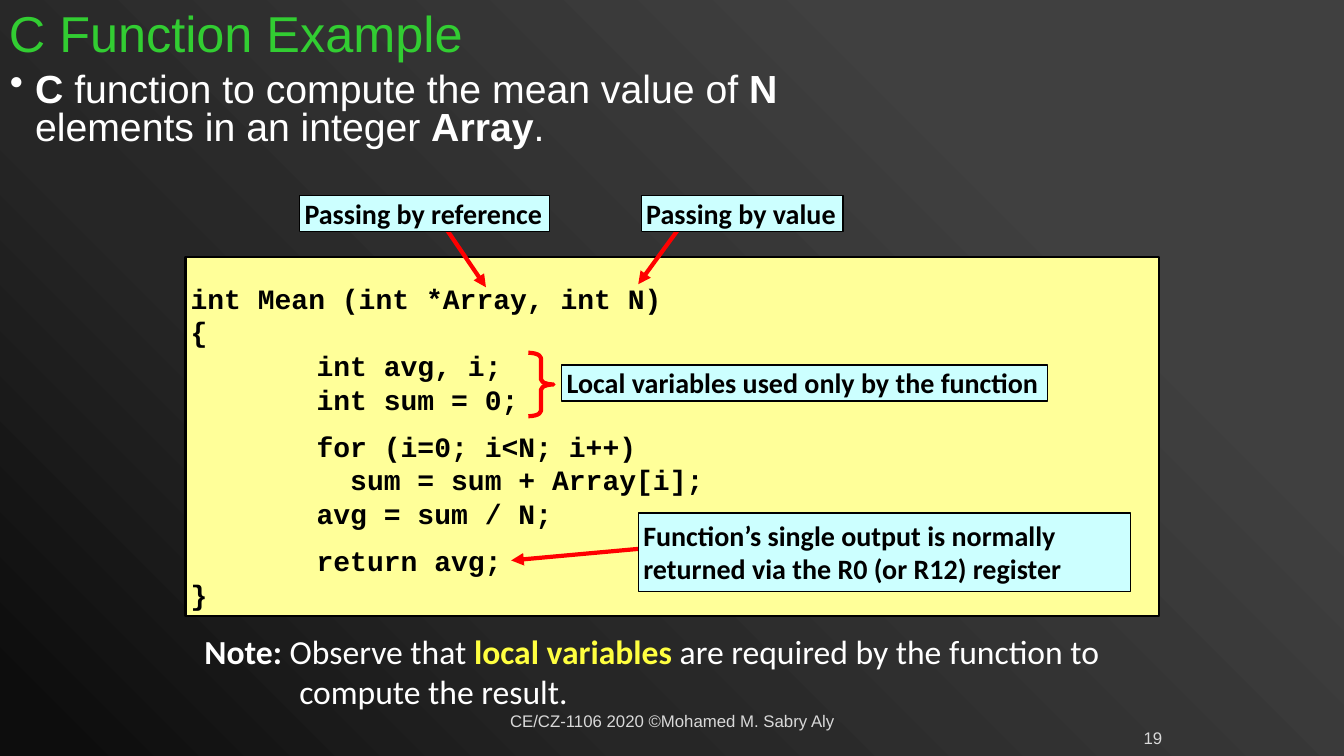
from dataclasses import dataclass

from lxml.etree import SubElement
from pptx import Presentation
from pptx.dml.color import RGBColor
from pptx.enum.shapes import MSO_CONNECTOR, MSO_SHAPE
from pptx.enum.text import MSO_ANCHOR, PP_ALIGN
from pptx.oxml import parse_xml
from pptx.oxml.ns import nsdecls, qn
from pptx.util import Inches, Pt

WHITE = RGBColor(0xFF, 0xFF, 0xFF)
BLACK = RGBColor(0, 0, 0)
GREEN = RGBColor(0x32, 0xCD, 0x32)
GREY = RGBColor(0xD9, 0xD9, 0xD9)
RED = RGBColor(0xFF, 0, 0)
YELLOW = RGBColor(0xFF, 0xFF, 0x40)
CODE_FILL = RGBColor(0xFF, 0xFF, 0x99)
LABEL_FILL = RGBColor(0xCC, 0xFF, 0xFF)
BACKGROUND_STOPS = [(0, "404040"), (23, "404040"), (69, "262626"), (97, "0D0D0D")]


@dataclass
class Style:
    font: str
    size: float
    color: RGBColor
    bold: bool = False


@dataclass
class Span:
    text: str
    bold: bool = False
    color: RGBColor | None = None


@dataclass
class Label:
    area: tuple
    lines: list
    margin: float = 0.01
    wrap: bool = False


@dataclass
class Arrow:
    start: tuple
    end: tuple


TITLE = Style("Arial", 36, GREEN)
BODY = Style("Arial", 28, WHITE)
NOTE = Style("Calibri", 24, WHITE)
FOOTER = Style("Arial", 12, GREY)
CODE = Style("Courier New", 20, BLACK, True)
LABEL = Style("Calibri", 20, BLACK, True)

CODE_BLOCKS = [
    ["int Mean (int *Array, int N)", "{", "\tint avg, i;", "\tint sum = 0;"],
    ["\tfor (i=0; i<N; i++)", "\t  sum = sum + Array[i];", "\tavg = sum / N;"],
    ["\treturn avg;", "}"],
]
ARROWS = [
    Arrow((4.31, 2.1), (4.82, 2.85)),
    Arrow((6.79, 2.19), (6.33, 2.82)),
    Arrow((6.5, 5.43), (5.07, 5.56)),
]
LABELS = [
    Label((2.97, 1.94, 2.48, 0.36), ["Passing by reference"]),
    Label((6.36, 1.94, 2, 0.36), ["Passing by value"]),
    Label((5.57, 3.62, 4.82, 0.36), ["Local variables used only by the function"]),
    Label((6.33, 5.09, 4.88, 0.78),
          ["Function’s single output is normally",
           "returned via the R0 (or R12) register"], 0.05, True),
]


def set_background(page) -> None:
    stops = "".join(f'<a:gs pos="{place * 1000}"><a:srgbClr val="{color}"/></a:gs>'
                    for place, color in BACKGROUND_STOPS)
    page.element.cSld.insert(0, parse_xml(
        f'<p:bg {nsdecls("p", "a")}><p:bgPr><a:gradFill rotWithShape="1">'
        f'<a:gsLst>{stops}</a:gsLst><a:lin ang="{135 * 60000}" scaled="0"/>'
        '</a:gradFill><a:effectLst/></p:bgPr></p:bg>'))


def add_spans(para, spans: list, style: Style) -> None:
    for span in spans:
        run = para.add_run()
        run.text = span.text
        run.font.name = style.font
        run.font.size = Pt(style.size)
        run.font.bold = style.bold or span.bold
        run.font.color.rgb = span.color or style.color


def add_text(page, area: tuple, spans: list, style: Style,
             anchor=MSO_ANCHOR.TOP, align=PP_ALIGN.LEFT):
    box = page.shapes.add_textbox(*map(Inches, area))
    box.text_frame.word_wrap = True
    box.text_frame.vertical_anchor = anchor
    para = box.text_frame.paragraphs[0]
    para.alignment = align
    add_spans(para, spans, style)
    return para


def set_hanging(para, indent: float) -> None:
    properties = para._p.get_or_add_pPr()
    properties.set("marL", str(Inches(indent)))
    properties.set("indent", str(-Inches(indent)))


def add_shape(page, kind, area: tuple, line_width: float, line_color: RGBColor,
              fill: RGBColor | None = None):
    shape = page.shapes.add_shape(kind, *map(Inches, area))
    shape.shadow.inherit = False
    shape.line.width = Pt(line_width)
    shape.line.color.rgb = line_color
    if fill is None:
        shape.fill.background()
    else:
        shape.fill.solid()
        shape.fill.fore_color.rgb = fill
    return shape


def add_panel(page, area: tuple, line_width: float, fill: RGBColor,
              top: float, bottom: float, wrap: bool = True):
    frame = add_shape(page, MSO_SHAPE.RECTANGLE, area, line_width, BLACK, fill).text_frame
    frame.margin_left = frame.margin_right = Inches(0.05)
    frame.margin_top, frame.margin_bottom = Inches(top), Inches(bottom)
    frame.vertical_anchor = MSO_ANCHOR.TOP
    frame.word_wrap = wrap
    return frame


def add_line(frame, text: str, style: Style, first: bool):
    para = frame.paragraphs[0] if first else frame.add_paragraph()
    para.alignment = PP_ALIGN.LEFT
    add_spans(para, [Span(text)], style)
    return para


def add_code(page) -> None:
    frame = add_panel(page, (1.84, 2.55, 9.66, 3.56), 1.5, CODE_FILL, 0.24, 0.05)
    for block_index, block in enumerate(CODE_BLOCKS):
        for line_index, text in enumerate(block):
            para = add_line(frame, text, CODE, block_index == line_index == 0)
            tabs = SubElement(para._p.get_or_add_pPr(), qn("a:tabLst"))
            SubElement(tabs, qn("a:tab"), pos=str(Inches(1.25)), algn="l")
            para.line_spacing = Pt(24)
            if block_index and line_index == 0:
                para.space_before = Pt(9.6)


def add_label(page, label: Label) -> None:
    frame = add_panel(page, label.area, 1, LABEL_FILL, label.margin, label.margin, label.wrap)
    for index, text in enumerate(label.lines):
        add_line(frame, text, LABEL, index == 0)


def add_arrow(page, arrow: Arrow) -> None:
    connector = page.shapes.add_connector(
        MSO_CONNECTOR.STRAIGHT, *map(Inches, arrow.start + arrow.end))
    connector.line.width = Pt(3)
    connector.line.color.rgb = RED
    SubElement(connector.line._get_or_add_ln(), qn("a:tailEnd"), type="triangle")
    SubElement(connector._element.spPr, qn("a:effectLst"))


def main() -> None:
    deck = Presentation()
    deck.slide_width, deck.slide_height = Inches(13.33), Inches(7.5)
    page = deck.slides.add_slide(deck.slide_layouts[6])
    set_background(page)

    # Title and task
    title = add_text(page, (-0.01, 0, 8.78, 0.71), [Span("C Function Example")],
                     TITLE, MSO_ANCHOR.MIDDLE)
    title.line_spacing = 0.9
    task = add_text(page, (0, 0.68, 9.31, 0.93), [
        Span("C", True), Span(" function to compute the mean value of "), Span("N", True),
        Span(" elements in an integer "), Span("Array", True), Span(".")], BODY)
    set_hanging(task, 0.25)
    SubElement(task._p.get_or_add_pPr(), qn("a:buChar"), char="•")
    task.line_spacing = 0.8

    # Code with its annotations
    add_code(page)
    for arrow in ARROWS:
        add_arrow(page, arrow)
    brace = add_shape(page, MSO_SHAPE.RIGHT_BRACE, (5.24, 3.5, 0.25, 0.63), 3, RED)
    brace.adjustments[0] = 0.21
    for label in LABELS:
        add_label(page, label)

    # Note and footer
    note = add_text(page, (1.93, 6.21, 9.73, 0.86), [
        Span("Note:", True), Span(" Observe that "), Span("local variables", True, YELLOW),
        Span(" are required by the function to compute the result.")], NOTE)
    set_hanging(note, 0.94)
    for area, text in [((4.42, 6.95, 4.5, 0.4), "CE/CZ-1106 2020 ©Mohamed M. Sabry Aly"),
                       ((11.22, 7.14, 0.43, 0.36), "19")]:
        add_text(page, area, [Span(text)], FOOTER, MSO_ANCHOR.MIDDLE, PP_ALIGN.CENTER)

    deck.save("out.pptx")


if __name__ == "__main__":
    main()
